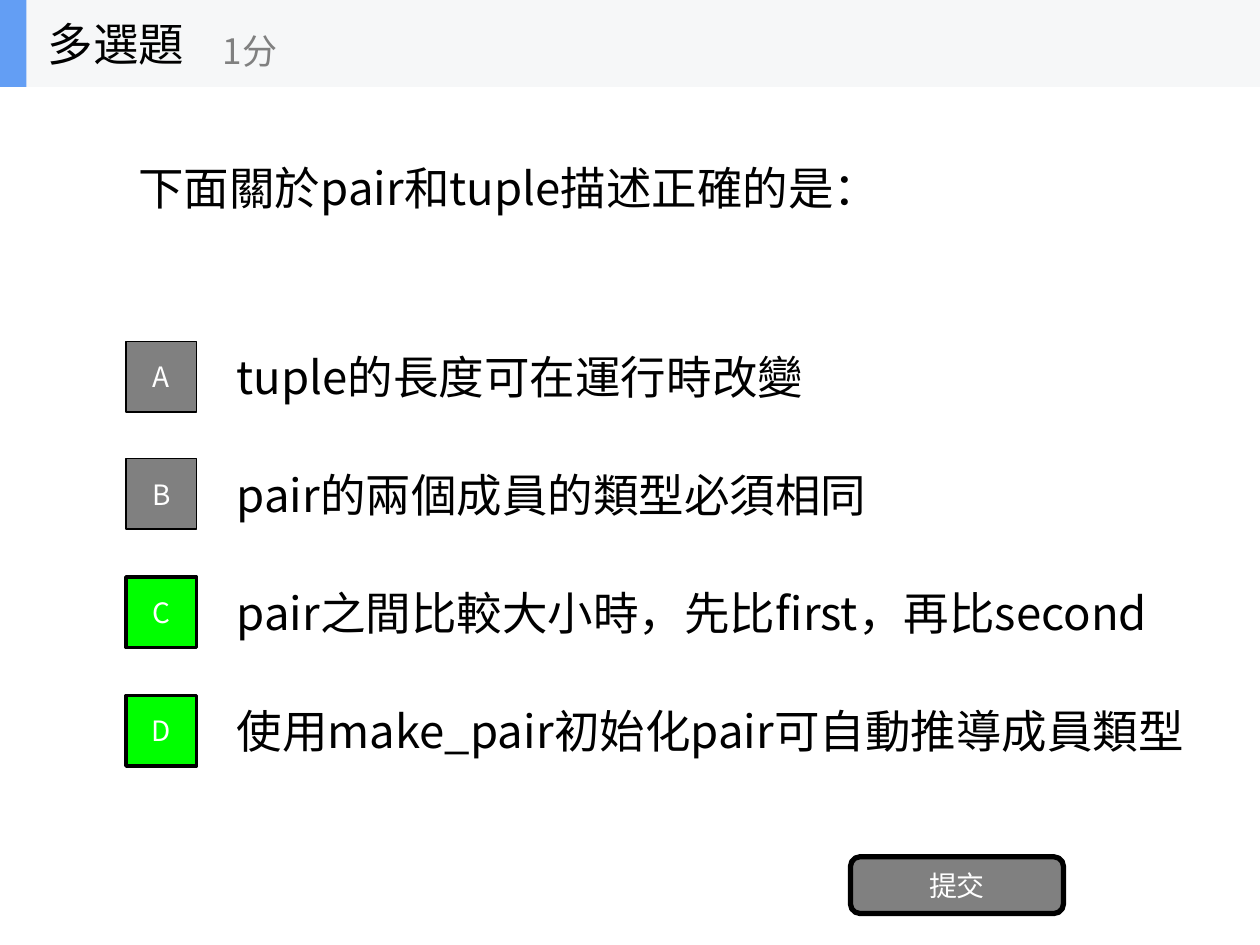
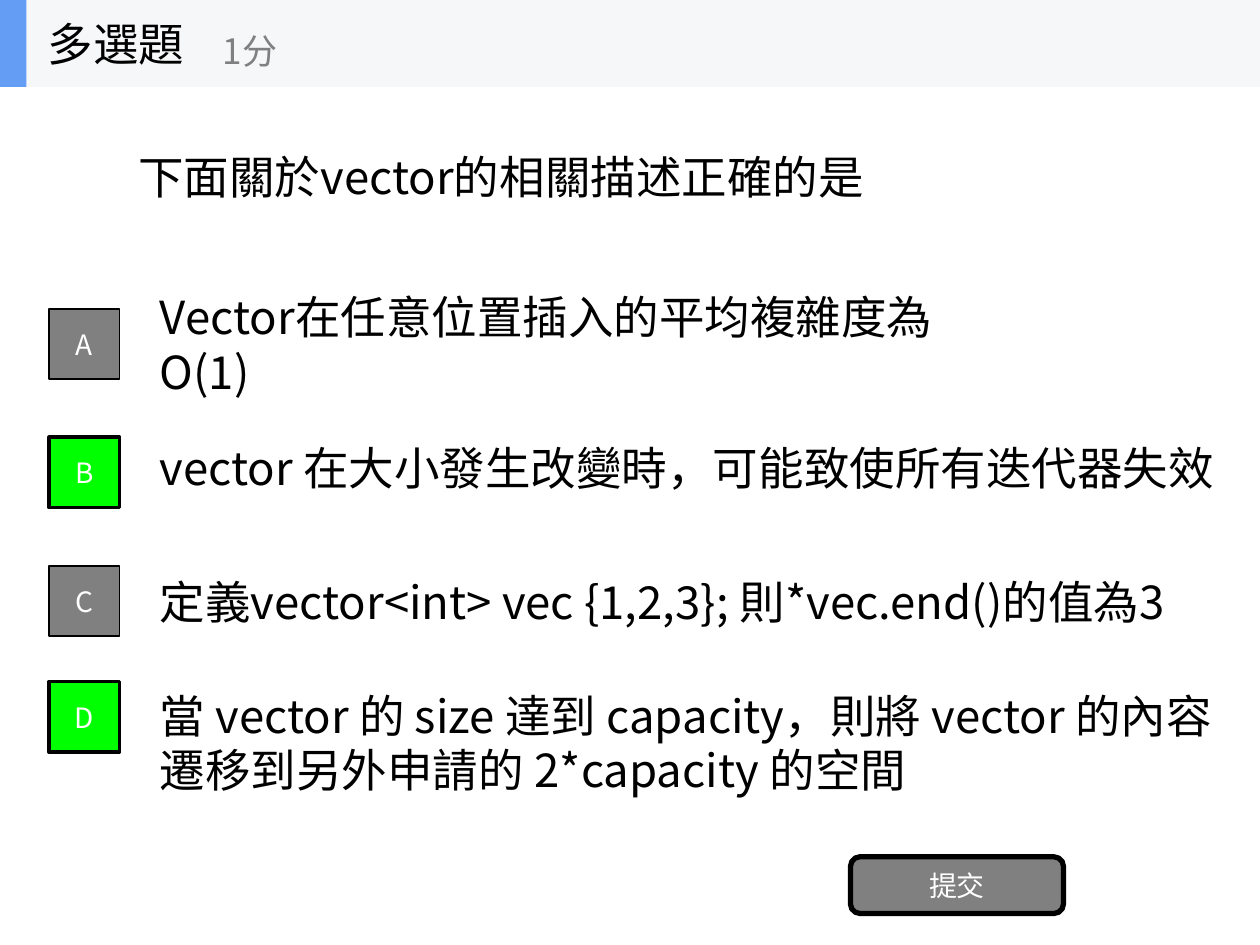
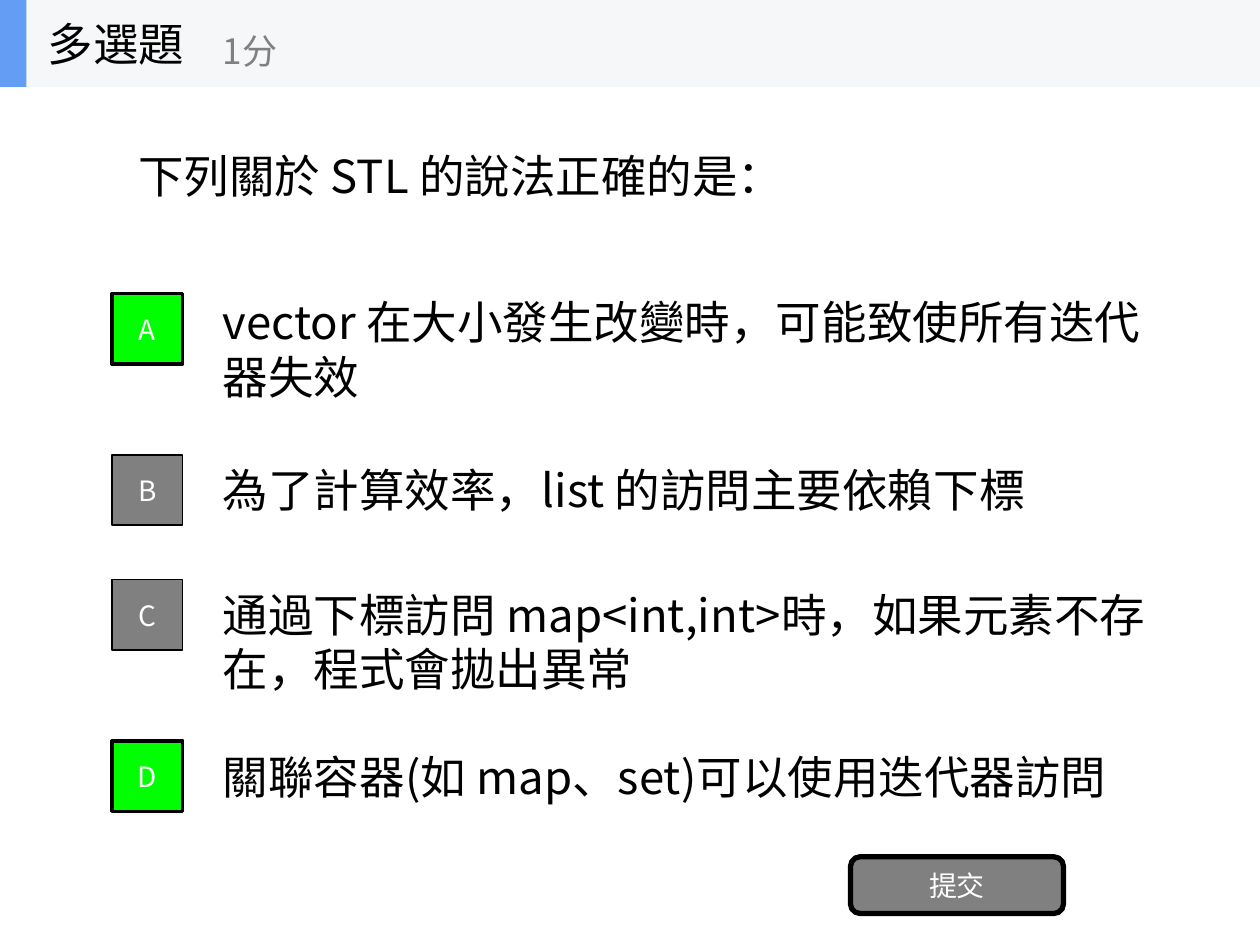
from dataclasses import dataclass

from lxml import etree
from pptx import Presentation
from pptx import util as u
from pptx.dml.color import RGBColor
from pptx.enum import shapes, text
from pptx.oxml import ns


@dataclass(frozen=True)
class Theme:
    face: str = "Noto Sans CJK SC"
    ink: str = "000000"
    white: str = "FFFFFF"
    gray: str = "808080"
    right: str = "00FF00"
    band: str = "F6F7F8"
    mark: str = "639EF4"
    body: int = 26
    score: int = 20
    small: int = 16


@dataclass(frozen=True)
class Choice:
    words: str
    top: float
    width: float = 7
    right: bool = False
    shift: float = -0.07


@dataclass(frozen=True)
class Quiz:
    ask: str
    depth: float
    left: float
    items: tuple


T = Theme()
RECT = shapes.MSO_SHAPE.RECTANGLE
ROUND = shapes.MSO_SHAPE.ROUNDED_RECTANGLE
SIDE = 0.56
BAND = 0.69

QUIZZES = (
    Quiz("下面關於pair和tuple描述正確的是：", 1.6, 1, (
        Choice("tuple的長度可在運行時改變", 2.71),
        Choice("pair的兩個成員的類型必須相同", 3.64),
        Choice("pair之間比較大小時，先比first，再比second", 4.58, 7.62, True),
        Choice("使用make_pair初始化pair可自動推導成員類型", 5.52, 8.12, True),
    )),
    Quiz("下面關於vector的相關描述正確的是", 1.41, 0.39, (
        Choice("Vector在任意位置插入的平均複雜度為O(1)", 2.45),
        Choice("vector 在大小發生改變時，可能致使所有迭代器失效",
               3.47, 8.67, True, -0.11),
        Choice("定義vector<int> vec {1,2,3}; 則*vec.end()的值為3", 4.49, 8.67),
        Choice("當 vector 的 size 達到 capacity，則將 vector 的內容遷移到"
               "另外申請的 2*capacity 的空間", 5.41, 8.57, True, 0.13),
    )),
    Quiz("下列關於 STL 的說法正確的是：", 1.4, 0.89, (
        Choice("vector 在大小發生改變時，可能致使所有迭代器失效",
               2.33, 7.76, True, 0.09),
        Choice("為了計算效率，list 的訪問主要依賴下標", 3.61, shift=-0.08),
        Choice("通過下標訪問 map<int,int>時，如果元素不存在，程式會拋出異常",
               4.6, 7.66, shift=0.14),
        Choice("關聯容器(如 map、set)可以使用迭代器訪問", 5.88, 7.41, True),
    )),
)


def color(code):
    return RGBColor.from_string(code)


def place(box):
    return [u.Inches(n) for n in box]


def write(shape, words, size, tint, align=text.PP_ALIGN.LEFT):
    frame = shape.text_frame
    frame.word_wrap = True
    frame.vertical_anchor = text.MSO_ANCHOR.MIDDLE
    para = frame.paragraphs[0]
    para.text = words
    para.alignment = align
    font = para.font
    font.size = u.Pt(size)
    font.color.rgb = color(tint)
    font.name = T.face
    props = para._p.pPr.find(ns.qn("a:defRPr"))
    etree.SubElement(props, ns.qn("a:ea"), typeface=T.face)


def label(tree, box, words, size=T.body, tint=T.ink):
    write(tree.add_textbox(*place(box)), words, size, tint)


def block(tree, kind, box, fill, line=0):
    shape = tree.add_shape(kind, *place(box))
    shape.shadow.inherit = False
    shape.fill.solid()
    shape.fill.fore_color.rgb = color(fill)
    if line:
        shape.line.color.rgb = color(T.ink)
        shape.line.width = u.Pt(line)
    else:
        shape.line.fill.background()
    return shape


def button(tree, kind, box, words, fill, line):
    shape = block(tree, kind, box, fill, line)
    write(shape, words, T.small, T.white, text.PP_ALIGN.CENTER)


def header(tree):
    group = tree.add_group_shape().shapes
    block(group, RECT, (0, 0, 10, BAND), T.band)
    block(group, RECT, (0, 0, 0.21, BAND), T.mark)
    label(group, (0.28, 0, 2.08, BAND), "多選題")
    label(group, (1.67, 0.12, 2.5, 0.56), "1分", T.score, T.gray)


def option(tree, left, letter, item):
    label(tree, (left + 0.78, item.top + item.shift, item.width, 0.7), item.words)
    fill, line = (T.right, 2) if item.right else (T.gray, 1)
    button(tree, RECT, (left, item.top, SIDE, SIDE), letter, fill, line)


def page(deck, quiz):
    tree = deck.slides.add_slide(deck.slide_layouts[6]).shapes
    label(tree, (1, BAND, 8, quiz.depth), quiz.ask)
    for letter, item in zip("ABCD", quiz.items):
        option(tree, quiz.left, letter, item)
    button(tree, ROUND, (6.75, 6.8, 1.69, 0.45), "提交", T.gray, 3)
    header(tree)


def main():
    deck = Presentation()
    deck.slide_width = u.Inches(10)
    deck.slide_height = u.Inches(7.5)
    for quiz in QUIZZES:
        page(deck, quiz)
    deck.save("out.pptx")


if __name__ == "__main__":
    main()
